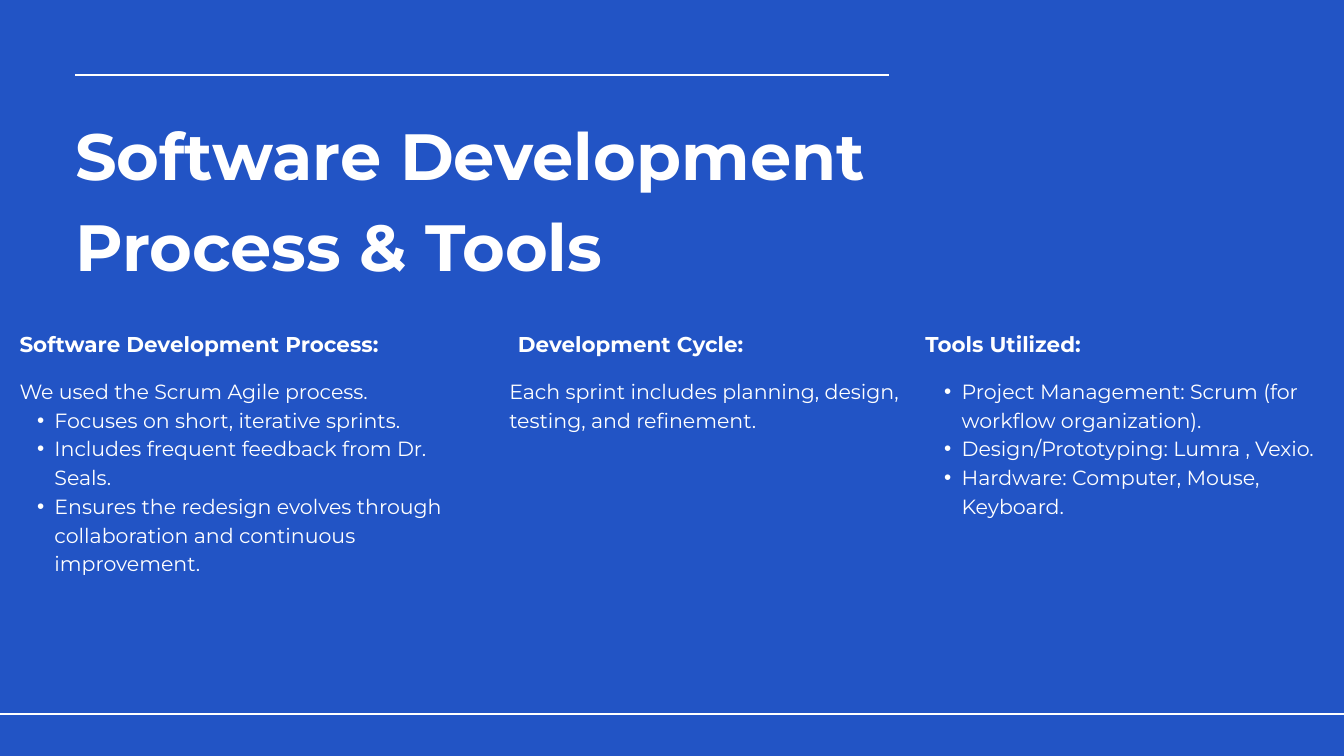
from lxml import etree
from pptx import Presentation
from pptx import util as u
from pptx.dml.color import RGBColor
from pptx.enum import shapes, text
from pptx.oxml.ns import qn

BLUE, WHITE = "2254C5", "FFFFFF"
FONT = "Montserrat"
HEADING_TOP, BODY_TOP = 12.34, 14.17

TITLE_STYLE = {"size": u.Pt(70), "bold": True}
HEADING_STYLE = {"size": u.Pt(23), "bold": True}
BODY_STYLE = {"size": u.Pt(22), "bold": False}

# Each column: heading, its left and width, body left, width and height, intro, bullets
COLUMNS = [
    ("Software Development Process:", 0.74, 14.71, 0.74, 16.94, 8.64,
     ["We used the Scrum Agile process."],
     ["Focuses on short, iterative sprints.",
      "Includes frequent feedback from Dr. Seals.",
      "Ensures the redesign evolves through collaboration and continuous improvement."]),
    ("Development Cycle:", 19.58, 13.36, 19.25, 15.77, 2.11,
     ["Each sprint includes planning, design, testing, and refinement."], []),
    ("Tools Utilized:", 34.98, 13.36, 35.03, 15.77, 7.54, [],
     ["Project Management: Scrum (for workflow organization).",
      "Design/Prototyping: Lumra , Vexio.",
      "Hardware: Computer, Mouse, Keyboard."]),
]


def color(hex_value):
    return RGBColor.from_string(hex_value)


def add_rule(slide, left, right, y):
    """Draw a horizontal white line."""
    rule = slide.shapes.add_connector(
        shapes.MSO_CONNECTOR.STRAIGHT, u.Cm(left), u.Cm(y), u.Cm(right), u.Cm(y))
    rule.line.color.rgb = color(WHITE)
    rule.line.width = u.Pt(2.25)
    etree.SubElement(rule._element.spPr, qn("a:effectLst"))


def add_bullet(paragraph):
    """Indent the paragraph and give it a round bullet."""
    paragraph.level = 1
    properties = paragraph._p.get_or_add_pPr()
    properties.set("marL", str(u.Cm(1.32)))
    properties.set("indent", str(u.Cm(-0.66)))
    etree.SubElement(properties, qn("a:buFont"), typeface="Arial")
    etree.SubElement(properties, qn("a:buChar"), char="•")


def add_text(slide, left, top, width, height, style, leading, plain, bullets=()):
    """Add plain paragraphs followed by bulleted ones."""
    box = slide.shapes.add_textbox(*map(u.Cm, (left, top, width, height)))
    frame = box.text_frame
    frame_format = {
        "margin_left": 0, "margin_top": 0, "margin_right": 0, "margin_bottom": 0,
        "word_wrap": True, "auto_size": text.MSO_AUTO_SIZE.SHAPE_TO_FIT_TEXT,
    }
    for name, value in frame_format.items():
        setattr(frame, name, value)
    for index, wording in enumerate([*plain, *bullets]):
        paragraph = frame.add_paragraph() if index else frame.paragraphs[0]
        if index >= len(plain):
            add_bullet(paragraph)
        paragraph.line_spacing = u.Pt(leading)
        run = paragraph.add_run()
        run.text = wording
        for name, value in {"name": FONT, **style}.items():
            setattr(run.font, name, value)
        run.font.color.rgb = color(WHITE)


def add_column(slide, heading, heading_left, heading_width,
               body_left, body_width, body_height, intro, bullets):
    add_text(slide, heading_left, HEADING_TOP, heading_width, 1.09,
             HEADING_STYLE, 32.2, [heading])
    add_text(slide, body_left, BODY_TOP, body_width, body_height,
             BODY_STYLE, 30.8, intro, bullets)


def main():
    deck = Presentation()
    deck.slide_width, deck.slide_height = u.Cm(50.8), u.Cm(28.58)
    slide = deck.slides.add_slide(deck.slide_layouts[6])
    background = slide.background.fill
    background.solid()
    background.fore_color.rgb = color(BLUE)

    add_rule(slide, -2.69, 53.8, 27)
    add_rule(slide, 2.84, 33.6, 2.84)
    add_text(slide, 2.84, 3.86, 33.48, 6.76, TITLE_STYLE, 98,
             ["Software Development Process & Tools"])
    for column in COLUMNS:
        add_column(slide, *column)
    deck.save("out.pptx")


if __name__ == "__main__":
    main()
